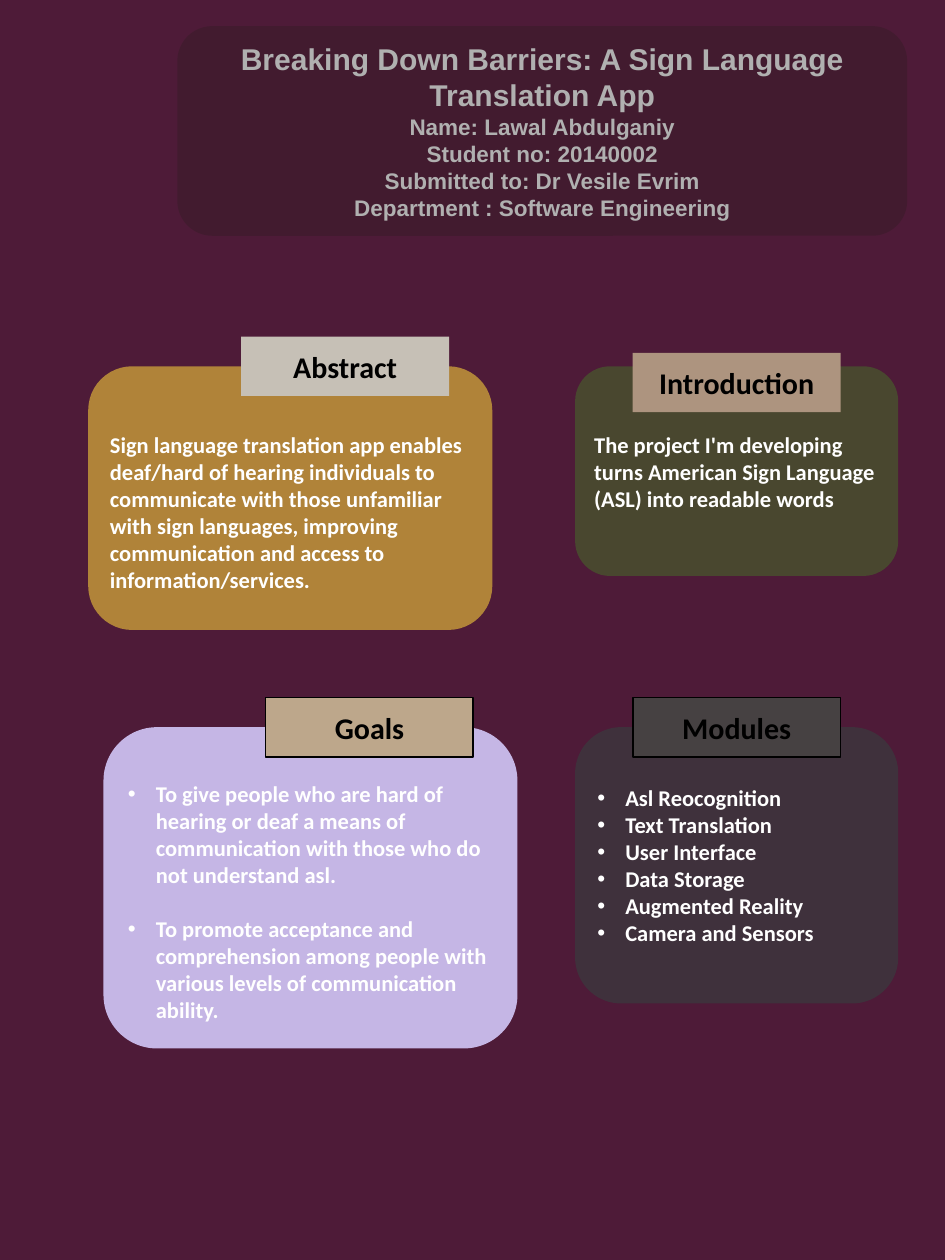
import pptx
import pptx.dml.color
import pptx.enum.shapes
import pptx.enum.text
import pptx.oxml.ns
import pptx.util
from lxml import etree

RGBColor = pptx.dml.color.RGBColor
Inches = pptx.util.Inches
Pt = pptx.util.Pt
SHAPE = pptx.enum.shapes.MSO_SHAPE
ALIGN = pptx.enum.text.PP_ALIGN
qn = pptx.oxml.ns.qn

PLUM = RGBColor(0x4E, 0x1B, 0x38)
HEADER_GREEN = RGBColor(0x11, 0x1F, 0x0C)
SILVER = RGBColor(0xB0, 0xB0, 0xB0)
OCHRE = RGBColor(0xB0, 0x83, 0x39)
STONE = RGBColor(0xC6, 0xC0, 0xB6)
OLIVE = RGBColor(0x49, 0x47, 0x2F)
CLAY = RGBColor(0xAD, 0x94, 0x7F)
LAVENDER = RGBColor(0xC5, 0xB6, 0xE5)
SAND = RGBColor(0xBD, 0xA7, 0x8B)
AUBERGINE = RGBColor(0x3F, 0x31, 0x3C)
CHARCOAL = RGBColor(0x46, 0x41, 0x42)
WHITE = RGBColor(0xFF, 0xFF, 0xFF)
BLACK = RGBColor(0x00, 0x00, 0x00)

HEADING_SIZE = 24
BODY_SIZE = 18
LEADING = 1.2
BODY_LINE = BODY_SIZE * LEADING
TAB_WIDTH, TAB_HEIGHT = 2.31, 0.66


class Poster:
    """Holds the poster's text style and its slide."""

    def __init__(self, slide):
        """Keep the slide and paint its background."""
        self.slide = slide
        slide.background.fill.solid()
        slide.background.fill.fore_color.rgb = PLUM

    def box(self, kind, place, fill, outlined=False):
        """Add a filled preset shape with middle-anchored text."""
        box = self.slide.shapes.add_shape(kind, *map(Inches, place))
        box.shadow.inherit = False
        box.fill.solid()
        box.fill.fore_color.rgb = fill
        if outlined:
            box.line.color.rgb = BLACK
            box.line.width = Pt(1.5)
        else:
            box.line.fill.background()
        box.text_frame.word_wrap = True
        box.text_frame.vertical_anchor = pptx.enum.text.MSO_ANCHOR.MIDDLE
        return box

    def add_lines(self, box, lines, size, color, font="Calibri", align=ALIGN.LEFT):
        """Append one bold paragraph per line and return them."""
        frame = box.text_frame
        paras = []
        for line in lines:
            para = frame.add_paragraph() if frame.text else frame.paragraphs[0]
            para.text = line
            para.alignment = align
            para.line_spacing = Pt(size * LEADING)
            para.font.name = font
            para.font.size = Pt(size)
            para.font.bold = True
            para.font.color.rgb = color
            paras.append(para)
        return paras

    def header(self, place, title, details):
        """Add the translucent title panel."""
        box = self.box(SHAPE.ROUNDED_RECTANGLE, place, HEADER_GREEN)
        color = box._element.spPr.find(qn("a:solidFill"))[0]
        etree.SubElement(color, qn("a:alpha"), val="19000")
        self.add_lines(box, [title], HEADING_SIZE, SILVER, "Arial", ALIGN.CENTER)
        self.add_lines(box, details, BODY_SIZE, SILVER, "Arial", ALIGN.CENTER)

    def panel(self, place, fill, lines, lowered=False, bulleted=False, gap=0):
        """Add a rounded body panel; lowered text sits half a line down."""
        box = self.box(SHAPE.ROUNDED_RECTANGLE, place, fill)
        if lowered:
            box.text_frame.margin_top = Inches(0.05) + Pt(BODY_LINE)
        paras = self.add_lines(box, lines, BODY_SIZE, WHITE)
        for para in paras[1:]:
            para.space_before = Pt(gap)
        if bulleted:
            for para in paras:
                self.bullet(para)

    def bullet(self, para):
        """Give a paragraph a round bullet and a hanging indent."""
        properties = para._p.get_or_add_pPr()
        properties.set("marL", str(Inches(0.31)))
        properties.set("indent", str(-Inches(0.31)))
        font = etree.Element(qn("a:buFont"), typeface="Arial")
        mark = etree.Element(qn("a:buChar"), char="•")
        position = properties.index(properties.find(qn("a:defRPr")))
        properties[position:position] = [font, mark]

    def tab(self, left, top, fill, heading, outlined=False):
        """Add a heading label over a panel's top edge."""
        place = (left, top, TAB_WIDTH, TAB_HEIGHT)
        box = self.box(SHAPE.RECTANGLE, place, fill, outlined)
        self.add_lines(box, [heading], HEADING_SIZE, BLACK, align=ALIGN.CENTER)


def build():
    """Build the poster and save it."""
    deck = pptx.Presentation()
    deck.slide_width, deck.slide_height = Inches(10.5), Inches(14)
    poster = Poster(deck.slides.add_slide(deck.slide_layouts[6]))

    poster.header(
        (1.97, 0.29, 8.11, 2.33),
        "Breaking Down Barriers: A Sign Language Translation App",
        ["Name: Lawal Abdulganiy", "Student no: 20140002",
         "Submitted to: Dr Vesile Evrim", "Department : Software Engineering"])

    poster.panel(
        (0.98, 4.07, 4.49, 2.93), OCHRE,
        ["Sign language translation app enables deaf/hard of hearing "
         "individuals to communicate with those unfamiliar with sign "
         "languages, improving communication and access to "
         "information/services."], lowered=True)
    poster.tab(2.68, 3.74, STONE, "Abstract")

    poster.panel(
        (6.39, 8.08, 3.59, 3.07), AUBERGINE,
        ["Asl Reocognition", "Text Translation", "User Interface",
         "Data Storage", "Augmented Reality", "Camera and Sensors"],
        bulleted=True)
    poster.tab(7.03, 7.75, CHARCOAL, "Modules", outlined=True)

    poster.panel(
        (1.15, 8.08, 4.6, 3.57), LAVENDER,
        ["To give people who are hard of hearing or deaf a means of "
         "communication with those who do not understand asl.",
         "To promote acceptance and comprehension among people with "
         "various levels of communication ability."],
        lowered=True, bulleted=True, gap=BODY_LINE)
    poster.tab(2.95, 7.75, SAND, "Goals", outlined=True)

    poster.panel(
        (6.39, 4.07, 3.59, 2.33), OLIVE,
        ["The project I'm developing turns American Sign Language (ASL) "
         "into readable words"])
    poster.tab(7.03, 3.92, CLAY, "Introduction")

    deck.save("out.pptx")


build()
